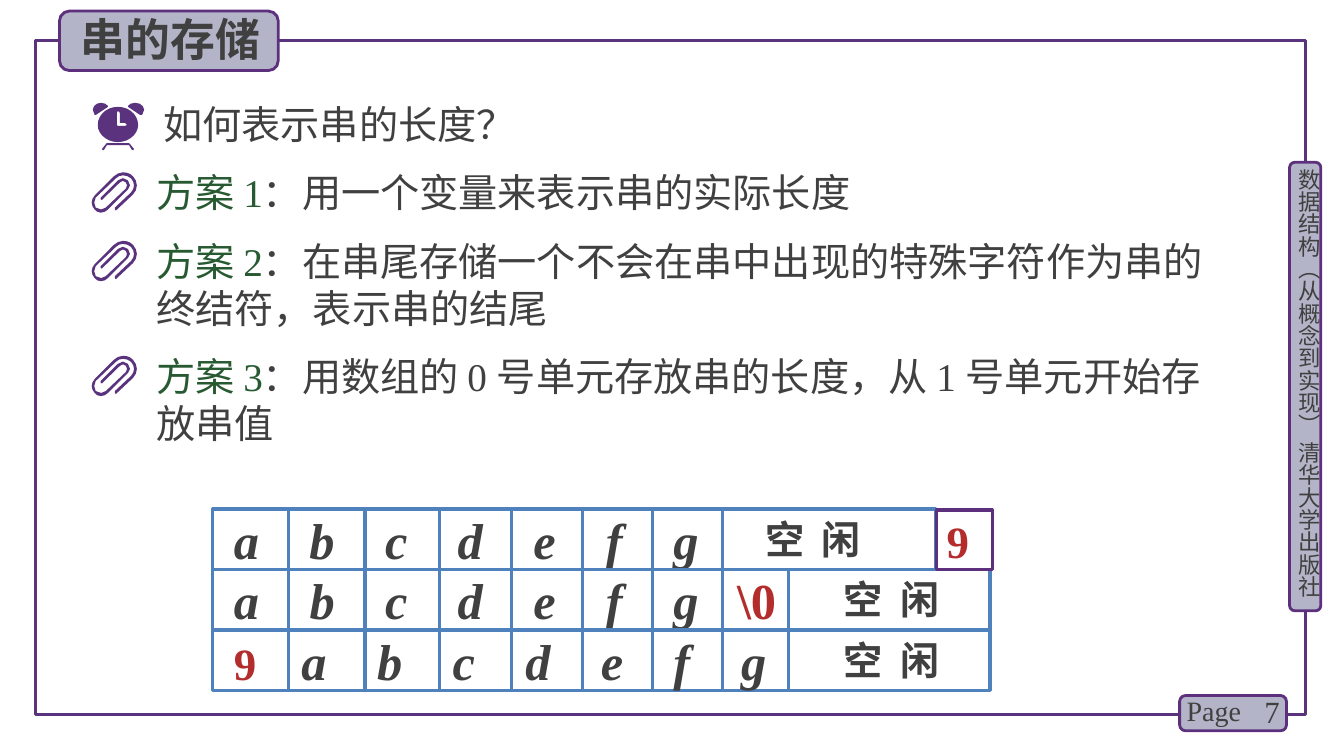
import itertools
import math

import lxml.etree
import pptx
import pptx.enum.shapes
import pptx.enum.text
import pptx.oxml.ns
import pptx.util
from pptx.dml.color import RGBColor
from pptx.util import Inches

COLORS = {"purple": "5A327D", "edge": "5C307D", "panel": "B4B4C8", "ink": "404040",
          "green": "285A32", "red": "B42D2D", "blue": "4F81BD"}
LATIN, CJK = "Times New Roman", "Noto Sans CJK SC"
SHAPE = pptx.enum.shapes.MSO_SHAPE

# Icon outlines in hundredths of an inch: pairs are corners, sixes are cubic curves.
CLIP = [[(42, 4), (39, 1, 36, 0, 32, 0), (29, 0, 25, 2, 23, 4), (4, 23),
         (0, 27, 0, 33, 4, 37), (5, 39, 8, 40, 10, 40), (13, 40, 15, 39, 17, 37),
         (37, 17), (39, 13), (39, 11, 38, 9, 37, 8),
         (34, 5, 30, 5, 27, 8), (10, 25), (9, 26, 9, 27, 10, 27), (11, 27.5), (29, 10),
         (31, 8, 33, 8, 35, 10), (36, 13), (35, 16),
         (15, 35), (13, 37, 8, 38, 5, 35), (3, 32, 3, 28, 5, 25),
         (25, 6), (27, 4, 29, 3, 32, 3), (35, 3, 38, 4, 40, 6), (44, 10, 44, 16, 40, 20),
         (24, 35), (24, 37), (25, 38), (26, 37), (42, 22),
         (47, 17, 47, 9, 42, 4)]]
CLOCK_LEGS = [[(41, 46), (37, 41), (36, 40), (14, 40), (13, 41), (9, 46), (10, 47),
               (11, 47), (14, 42), (36, 42), (39, 47), (40, 47)]]
LEFT_BELL = [[(8, 0), (4, 0, 0, 3, 0, 7), (0, 9, 0, 11, 2, 12), (3, 12), (15, 4),
              (15, 3), (14, 1, 11, 0, 8, 0)]]
RIGHT_BELL = [[(42, 0), (39, 0, 36, 1, 35, 3), (35, 4), (47, 12), (49, 12),
               (50, 11, 51, 9, 51, 7), (51, 3, 47, 0, 42, 0)]]
CLOCK_FACE = [[(25, 4), (14, 4, 5, 12, 5, 22), (5, 31, 14, 39, 25, 39),
               (36, 39, 45, 31, 45, 22), (45, 12, 36, 4, 25, 4)],
              [(32, 23), (25, 23), (24, 22), (24, 10), (25, 8), (27, 10), (27, 20),
               (32, 20), (34, 22)]]

ROW_LEFT, ROW_TOP, ROW_HEIGHT = 2.11, 5.05, 0.6
DIVIDERS = [2.86, 3.62, 4.36, 5.07, 5.78, 6.47, 7.17]
LETTER_STEPS = [0.75, 0.75, 0.72, 0.75, 0.72, 0.67, 0.63]


def rgb(name):
    return RGBColor.from_string(COLORS[name])


def sub(parent, tag, **attrs):
    return lxml.etree.SubElement(parent, pptx.oxml.ns.qn(tag), **attrs)


def add_text(p, text, size=28, color="ink", font=LATIN, bold=False, italic=False):
    r = p.add_run()
    r.text = text
    r.font.size = pptx.util.Pt(size)
    r.font.name = font
    r.font.bold = bold
    r.font.italic = italic
    r.font.color.rgb = rgb(color)
    sub(r._r.get_or_add_rPr(), "a:ea", typeface=CJK)


def set_frame(sp, left=0.1, top=0.05, right=0.1, bottom=0):
    tf = sp.text_frame
    tf.word_wrap = True
    tf.auto_size = pptx.enum.text.MSO_AUTO_SIZE.NONE
    tf.vertical_anchor = pptx.enum.text.MSO_ANCHOR.TOP
    tf.margin_left, tf.margin_top = Inches(left), Inches(top)
    tf.margin_right, tf.margin_bottom = Inches(right), Inches(bottom)
    return tf


def set_paragraph(p, size, tabs=(), align="LEFT", before=0):
    """Fix line height at 1.2 times the size and set tab stops in inches."""
    pPr = p._p.get_or_add_pPr()
    if tabs:
        tab_list = sub(pPr, "a:tabLst")
        for pos in tabs:
            sub(tab_list, "a:tab", pos=str(Inches(pos)), algn="l")
    p.alignment = getattr(pptx.enum.text.PP_ALIGN, align)
    p.line_spacing = pptx.util.Pt(size * 1.2)
    p.space_before = pptx.util.Pt(before)


def place(sp, *box):
    sp.left, sp.top, sp.width, sp.height = map(Inches, box)


def add_label(s, box, text, size=28, tabs=(), align="LEFT", vert=None, margins=None, **fmt):
    sp = s.shapes.add_textbox(*map(Inches, box))
    tf = set_frame(sp, **(margins or {}))
    if vert:
        tf._txBody.bodyPr.set("vert", vert)
    set_paragraph(tf.paragraphs[0], size, tabs, align)
    add_text(tf.paragraphs[0], text, size, **fmt)


def add_box(s, box, kind=SHAPE.RECTANGLE, fill=None, line="edge", width=2.25):
    sp = s.shapes.add_shape(kind, *map(Inches, box))
    sp.shadow.inherit = False
    if fill:
        sp.fill.solid()
        sp.fill.fore_color.rgb = rgb(fill)
    else:
        sp.fill.background()
    sp.line.color.rgb = rgb(line)
    sp.line.width = pptx.util.Pt(width)
    return sp


def add_panel(s, *box):
    add_box(s, box, SHAPE.ROUNDED_RECTANGLE, "panel", width=2)


def add_divider(s, x, top):
    c = s.shapes.add_connector(pptx.enum.shapes.MSO_CONNECTOR.STRAIGHT,
                               Inches(x), Inches(top), Inches(x), Inches(top + ROW_HEIGHT))
    c.line.color.rgb = rgb("blue")
    c.line.width = pptx.util.Pt(2.25)
    sub(c._element.spPr, "a:effectLst")


def flatten(contour):
    """Turn corners and cubic curves into points in thousandths of an inch."""
    points = [contour[0]]
    for seg in contour[1:]:
        if len(seg) == 2:
            points.append(seg)
            continue
        knots = [points[-1], seg[:2], seg[2:4], seg[4:]]
        steps = max(1, round(math.dist(knots[0], knots[3]) / 4))
        for t in (i / steps for i in range(1, steps + 1)):
            weights = [(1 - t) ** 3, 3 * t * (1 - t) ** 2, 3 * t * t * (1 - t), t ** 3]
            points.append(tuple(sum(w * k[axis] for w, k in zip(weights, knots))
                                for axis in (0, 1)))
    return [(x * 10, y * 10) for x, y in points]


def add_outline(s, x, y, contours):
    outlines = [flatten(c) for c in contours]
    fb = s.shapes.build_freeform(*outlines[0][0], scale=914.4)
    for i, points in enumerate(outlines):
        if i:
            fb.move_to(*points[0])
        fb.add_line_segments(points[1:], close=True)
    sp = fb.convert_to_shape(Inches(x), Inches(y))
    sp.shadow.inherit = False
    sp.fill.solid()
    sp.fill.fore_color.rgb = rgb("purple")
    sp.line.fill.background()


def add_row(s, index, width, runs, steps, dividers, idle_left):
    """Draw one storage row; the items of its runs are set apart by tab stops."""
    top = ROW_TOP + index * ROW_HEIGHT
    sp = add_box(s, (ROW_LEFT, top, width, ROW_HEIGHT), line="blue")
    p = set_frame(sp, left=0.21, top=0, right=0).paragraphs[0]
    set_paragraph(p, 36, list(itertools.accumulate(steps)))
    for text, fmt in runs:
        add_text(p, text, bold=True, **fmt)
    for x in dividers:
        add_divider(s, x, top)
    add_label(s, (idle_left, top + 0.02, 1.26, 0.51), "空\t闲", tabs=[0.56],
              margins={"top": 0.04}, bold=True)


def add_storage_rows(s):
    letters = "\t".join("abcdefg")
    italic = {"size": 36, "italic": True}
    add_row(s, 0, 7.17, [(letters, italic)], LETTER_STEPS, DIVIDERS, 7.49)
    add_row(s, 1, 7.71, [(letters + "\t", italic), ("\\0", {"size": 36, "color": "red"})],
            LETTER_STEPS, DIVIDERS + [7.82], 8.27)
    add_row(s, 2, 7.71, [("9", {"size": 32, "color": "red"}), ("\t" + letters, italic)],
            [0.67] + LETTER_STEPS[:-1], DIVIDERS + [7.82], 8.27)
    sp = add_box(s, (9.29, 5.06, 0.55, 0.59))
    p = set_frame(sp, top=0.04, right=0).paragraphs[0]
    set_paragraph(p, 32)
    add_text(p, "9", 32, "red", bold=True)


def fill_body(sp):
    place(sp, 1.45, 0.95, 10.91, 3.53)
    tf = set_frame(sp)
    lines = [("", "如何表示串的长度？"),
             ("方案 1", "：用一个变量来表示串的实际长度"),
             ("方案 2", "：在串尾存储一个不会在串中出现的特殊字符作为串的终结符，表示串的结尾"),
             ("方案 3", "：用数组的 0 号单元存放串的长度，从 1 号单元开始存放串值")]
    for i, (plan, text) in enumerate(lines):
        p = tf.add_paragraph() if i else tf.paragraphs[0]
        pPr = p._p.get_or_add_pPr()
        pPr.set("marL", str(Inches(0 if plan else 0.07)))
        pPr.set("indent", "0")
        sub(pPr, "a:buNone")
        set_paragraph(p, 28, before=15 if i else 0)
        if plan:
            add_text(p, plan, color="green")
        add_text(p, text, font=LATIN if plan else CJK)


def main():
    prs = pptx.Presentation()
    prs.slide_width, prs.slide_height = Inches(13.33), Inches(7.5)
    s = prs.slides.add_slide(prs.slide_layouts[1])
    title, body = s.shapes.title, s.placeholders[1]

    add_box(s, (0.35, 0.4, 12.6, 6.69), line="purple")
    add_panel(s, 12.79, 1.61, 0.31, 4.45)
    add_label(s, (12.85, 1.67, 0.27, 4.49), "数据结构（从概念到实现） 清华大学出版社", 16,
              vert="eaVert", margins={"left": 0, "top": 0, "right": 0}, font=CJK)
    add_panel(s, 11.7, 6.9, 1.06, 0.35)
    add_label(s, (12.2, 6.83, 0.59, 0.44), "7", 22, align="RIGHT", margins={"top": 0.04})
    add_label(s, (11.67, 6.83, 0.78, 0.44), "Page", 20)
    add_panel(s, 0.59, 0.11, 2.17, 0.59)

    place(title, 0.7, 0.07, 2.09, 0.64)
    p = set_frame(title).paragraphs[0]
    set_paragraph(p, 32)
    add_text(p, "串的存储", 32, font=CJK, bold=True)
    s.shapes._spTree.append(title._element)
    fill_body(body)

    for part in (CLOCK_LEGS, LEFT_BELL, RIGHT_BELL, CLOCK_FACE):
        add_outline(s, 0.92, 1.02, part)
    for y in (1.71, 2.39, 3.53):
        add_outline(s, 0.9, y, CLIP)
    add_storage_rows(s)
    prs.save("out.pptx")


if __name__ == "__main__":
    main()
